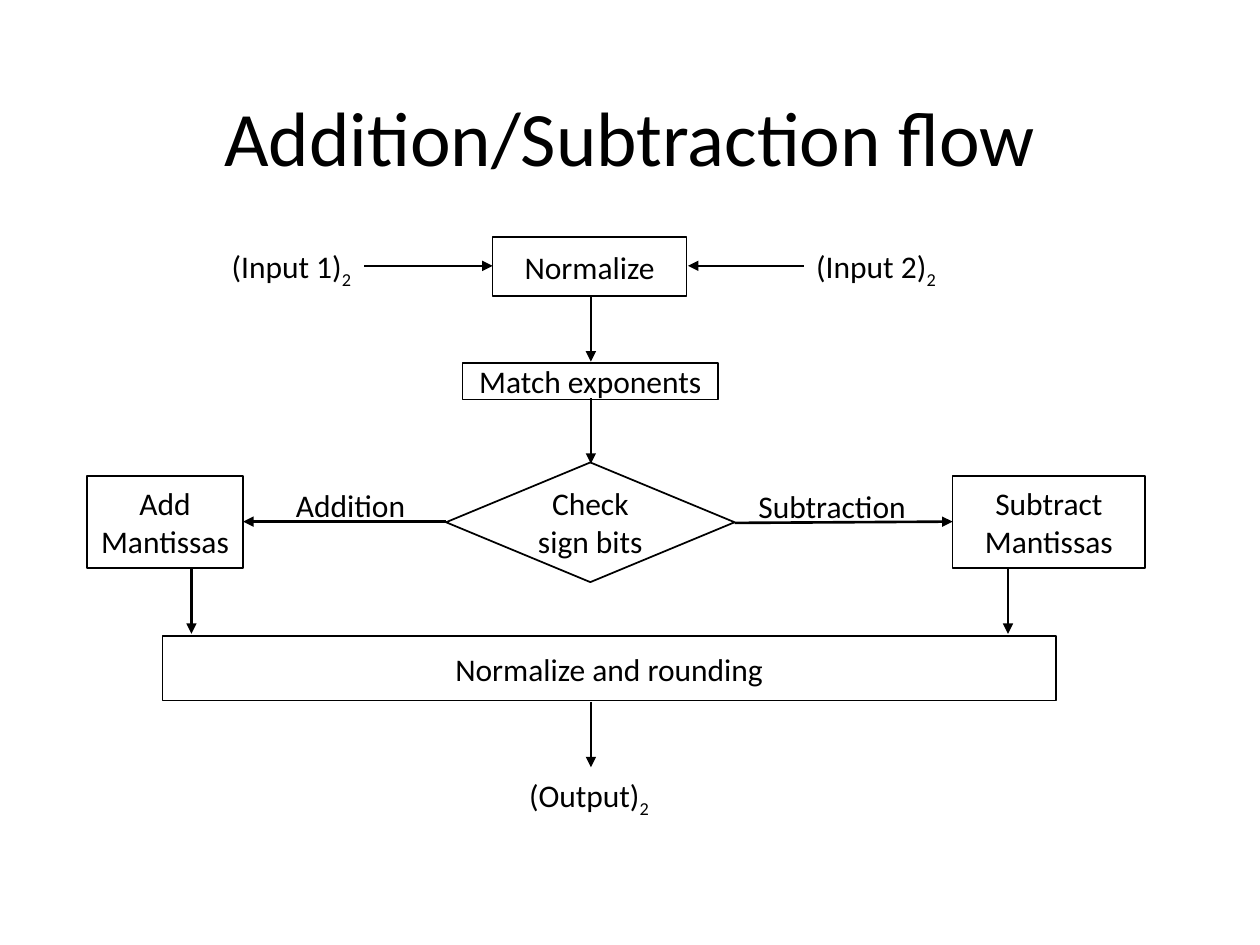
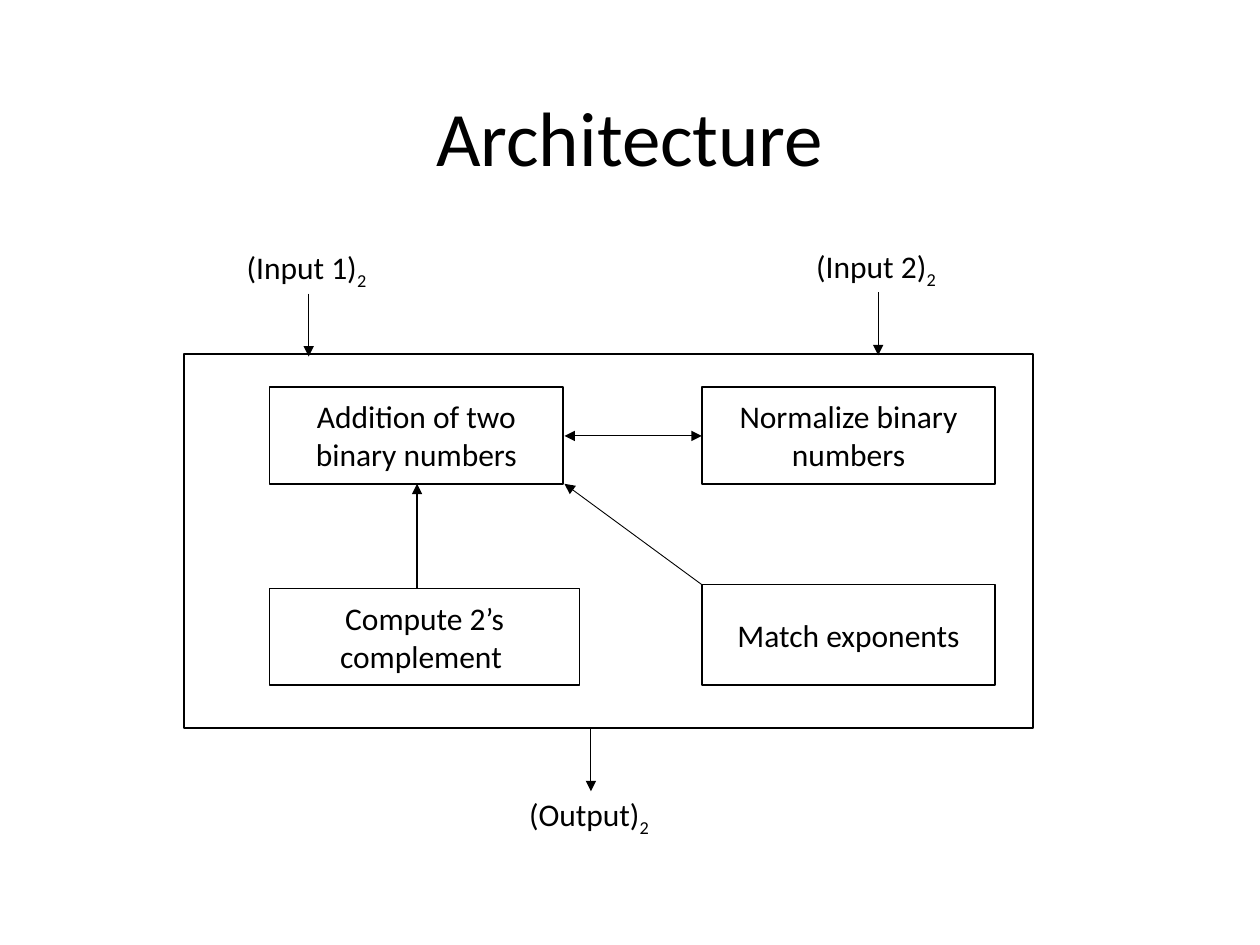
"""Build two slides on floating point addition: its flow and its architecture."""
from lxml import etree
from pptx import Presentation
from pptx.dml.color import RGBColor
from pptx.enum.shapes import MSO_CONNECTOR as Link, MSO_SHAPE as Form
from pptx.enum.text import MSO_ANCHOR as Anchor, MSO_AUTO_SIZE as Auto, PP_ALIGN as Align
from pptx.oxml.ns import qn
from pptx.util import Inches, Pt

tint = RGBColor.from_string
INK, PAPER = tint("000000"), tint("FFFFFF")
deck = Presentation()
deck.slide_width, deck.slide_height = Inches(10), Inches(7.5)
COL, ROW = deck.slide_width / 100, deck.slide_height / 75
MID = 46.9

TITLE = {"size": Pt(44), "name": "Calibri"}
BODY = {"size": Pt(18), "name": "Calibri"}
CENTRE = {"word_wrap": True, "vertical_anchor": Anchor.MIDDLE}
LOOSE = {"word_wrap": False, "auto_size": Auto.SHAPE_TO_FIT_TEXT}


def scale(x, y, w, h):
    return [round(n * unit) for n, unit in zip((x, y, w, h), (COL, ROW, COL, ROW))]


def write(shape, text, frame, font, align):
    for key, val in frame.items():
        setattr(shape.text_frame, key, val)
    para = shape.text_frame.paragraphs[0]
    para.alignment = align
    for part, base in zip(text.split("_"), (None, "-25000")):
        run = para.add_run()
        run.text = part
        run.font.color.rgb = INK
        for key, val in font.items():
            setattr(run.font, key, val)
        if base:
            run.font._element.set("baseline", base)
    return para


flow = {
    "title": "Addition/Subtraction flow",
    "boxes": [
        (Form.RECTANGLE, (39.1, 18.8, 15.4, 4.7), "Normalize"),
        (Form.RECTANGLE, (36.7, 28.8, 20.3, 2.9), "Match exponents"),
        (Form.FLOWCHART_DECISION, (35.4, 36.7, 22.9, 9.5), "Check sign bits"),
        (Form.RECTANGLE, (6.9, 37.8, 12.4, 7.3), "Add Mantissas"),
        (Form.RECTANGLE, (75.6, 37.8, 15.3, 7.3), "Subtract Mantissas"),
        (Form.RECTANGLE, (12.9, 50.5, 70.9, 5.1), "Normalize and rounding"),
    ],
    "labels": [
        (17.4, 19.1, 11.7, "(Input 1)_2"),
        (63.8, 19.1, 11.7, "(Input 2)_2"),
        (22.5, 38.1, 10.8, "Addition"),
        (59.2, 38.2, 13.9, "Subtraction"),
        (41, 61.1, 11.8, "(Output)_2"),
    ],
    "arrows": [
        ((28.9, 21.1, 39.1, 21.1), 1.5, "tail"),
        ((63.8, 21.1, 54.6, 21.1), 1.5, "tail"),
        ((35.4, 41.4, 19.3, 41.4), 1.5, "tail"),
        ((58.3, 41.5, 75.6, 41.4), 1.5, "tail"),
    ] + [
        ((x, y, x, y + 5.2), 1.5, "tail")
        for x, y in ((MID, 23.5), (MID, 31.6), (15.2, 45.1), (80, 45.1), (MID, 55.7))
    ],
}

plan = {
    "title": "Architecture",
    "boxes": [
        (Form.RECTANGLE, (14.6, 28.1, 67.4, 29.7), ""),
        (Form.RECTANGLE, (21.4, 30.7, 23.3, 7.7), "Addition of two binary numbers"),
        (Form.RECTANGLE, (55.7, 30.7, 23.3, 7.7), "Normalize binary numbers"),
        (Form.RECTANGLE, (21.4, 46.7, 24.6, 7.7), "Compute 2’s complement "),
        (Form.RECTANGLE, (55.7, 46.4, 23.3, 8), "Match exponents"),
    ],
    "labels": [
        (18.6, 19.2, 11.7, "(Input 1)_2"),
        (63.8, 19.1, 11.7, "(Input 2)_2"),
        (41, 62.6, 11.8, "(Output)_2"),
    ],
    "arrows": [
        ((33.1, 46.7, 33.1, 38.4), 1.5, "tail"),
        ((44.8, 34.6, 55.7, 34.6), 0.5, "head tail"),
        ((55.7, 46.4, 44.8, 38.4), 0.5, "tail"),
    ] + [
        ((x, y, x, y + 5), 0.5, "tail")
        for x, y in ((24.5, 23.3), (69.7, 23.2), (MID, 57.8))
    ],
}

for page in (flow, plan):
    slide = deck.slides.add_slide(deck.slide_layouts[6])
    shapes = slide.shapes
    head = shapes.add_textbox(*scale(6.9, 4, 86.2, 14.5))
    write(head, page["title"], CENTRE, TITLE, Align.CENTER).line_spacing = 0.9

    for form, area, text in page["boxes"]:
        box = shapes.add_shape(form, *scale(*area))
        box.shadow.inherit = False
        box.line.color.rgb, box.line.width = INK, Pt(1)
        if text:
            box.fill.solid()
            box.fill.fore_color.rgb = PAPER
            write(box, text, CENTRE, BODY, Align.CENTER)
        else:
            box.fill.background()

    for x, y, wide, text in page["labels"]:
        label = shapes.add_textbox(*scale(x, y, wide, 4))
        write(label, text, LOOSE, BODY, Align.LEFT)

    for ends, width, tips in page["arrows"]:
        arrow = shapes.add_connector(Link.STRAIGHT, *scale(*ends))
        arrow.line.color.rgb, arrow.line.width = INK, Pt(width)
        for tip in tips.split():
            etree.SubElement(arrow.line._get_or_add_ln(), qn(f"a:{tip}End"), type="triangle")
        etree.SubElement(arrow._element.spPr, qn("a:effectLst"))

deck.save("out.pptx")
